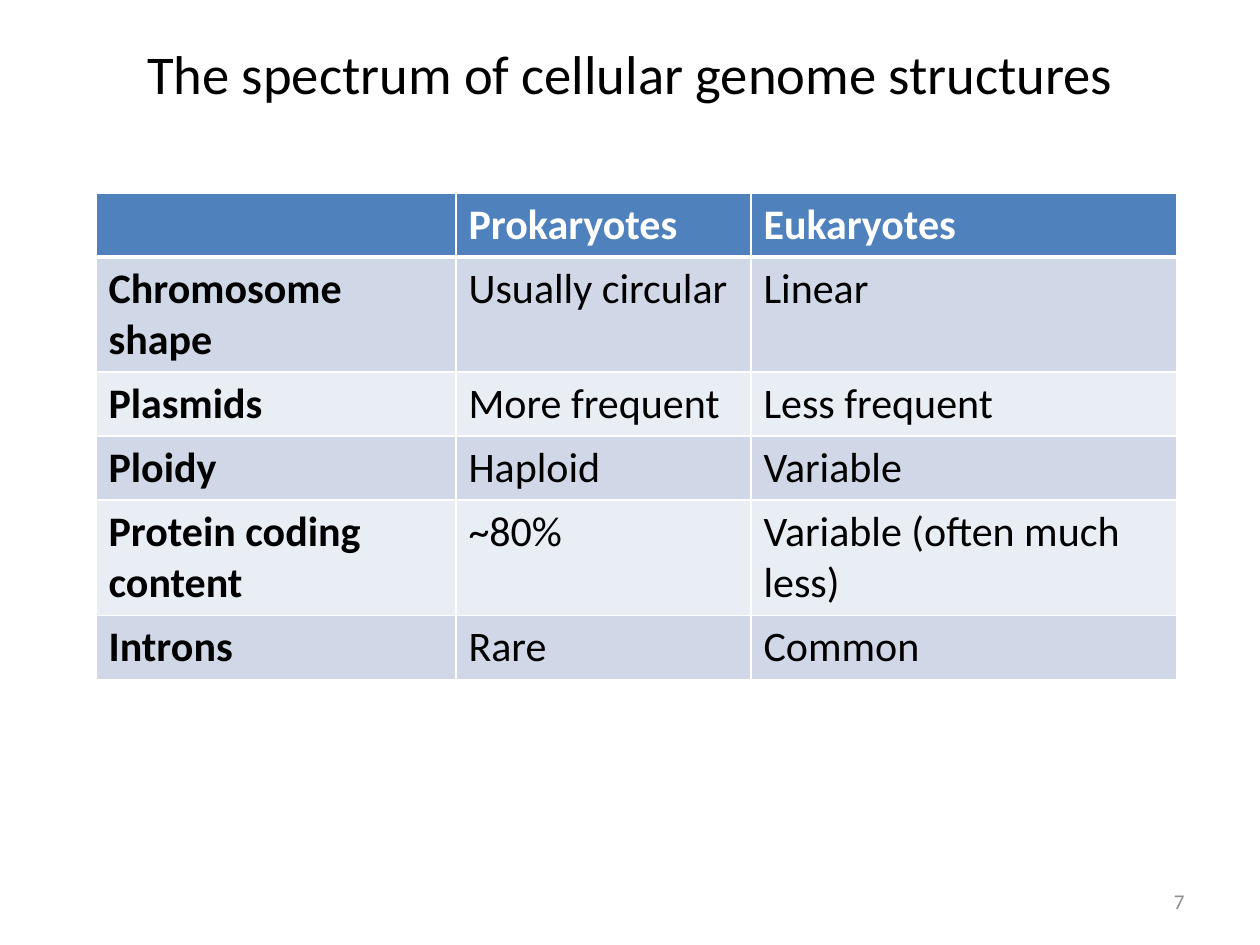
import dataclasses
import pptx
import pptx.dml.color
import pptx.enum.text
import pptx.oxml
import pptx.oxml.ns
import pptx.util

PX = 914400 // 126
FONT = "Calibri"
ALIGN = pptx.enum.text.PP_ALIGN
ANCHOR = pptx.enum.text.MSO_ANCHOR


@dataclasses.dataclass
class Style:
    size: float
    color: str
    bold: bool = False


@dataclasses.dataclass
class Row:
    high: int
    cells: tuple[str, str, str]


HEAD = Style(24, "FFFFFF", True)
LABEL = Style(24, "000000", True)
BODY = Style(24, "000000")
BLUE, BANDS = "4F81BD", ("D0D8E8", "E9EDF4")
COLS = (360, 295, 426)
ROWS = (
    Row(64, ("", "Prokaryotes", "Eukaryotes")),
    Row(114, ("Chromosome shape", "Usually circular", "Linear")),
    Row(64, ("Plasmids", "More frequent", "Less frequent")),
    Row(64, ("Ploidy", "Haploid", "Variable")),
    Row(114, ("Protein coding content", "~80%", "Variable (often much less)")),
    Row(64, ("Introns", "Rare", "Common")),
)


def px(num: int) -> int:
    return pptx.util.Emu(num * PX)


def rgb(code: str) -> pptx.dml.color.RGBColor:
    return pptx.dml.color.RGBColor.from_string(code)


def write(par, text: str, style: Style) -> None:
    run = par.add_run()
    run.text = text
    run.font.name = FONT
    run.font.size = pptx.util.Pt(style.size)
    run.font.bold = style.bold
    run.font.color.rgb = rgb(style.color)


def place(shape, left: int, top: int, wide: int, high: int) -> None:
    shape.left, shape.top = px(left), px(top)
    shape.width, shape.height = px(wide), px(high)


def edge(cell, side: str, width: int) -> None:
    space = pptx.oxml.ns.nsdecls("a")
    line = pptx.oxml.parse_xml(
        f'<a:ln{side} {space} w="{pptx.util.Pt(width)}"><a:solidFill>'
        f'<a:srgbClr val="FFFFFF"/></a:solidFill></a:ln{side}>')
    cell._tc.get_or_add_tcPr().append(line)


def draw_cell(cell, row: int, col: int, text: str) -> None:
    for side in "LRTB":
        thick = (row == 0 and side == "B") or (row == 1 and side == "T")
        edge(cell, side, 3 if thick else 1)
    cell.fill.solid()
    cell.fill.fore_color.rgb = rgb(BANDS[(row - 1) % 2] if row else BLUE)
    if text:
        style = HEAD if row == 0 else LABEL if col == 0 else BODY
        write(cell.text_frame.paragraphs[0], text, style)


def draw_table(slide, left: int, top: int) -> None:
    high = sum(row.high for row in ROWS)
    table = slide.shapes.add_table(
        len(ROWS), len(COLS), px(left), px(top), px(sum(COLS)), px(high)).table
    for col, wide in enumerate(COLS):
        table.columns[col].width = px(wide)
    for num, row in enumerate(ROWS):
        table.rows[num].height = px(row.high)
        for col, text in enumerate(row.cells):
            draw_cell(table.cell(num, col), num, col, text)


def main() -> None:
    deck = pptx.Presentation()
    deck.slide_width, deck.slide_height = px(1260), px(945)
    slide = deck.slides.add_slide(deck.slide_layouts[5])

    # Title
    title = slide.shapes.title
    place(title, 63, 34, 1134, 101)
    frame = title.text_frame
    frame.auto_size = pptx.enum.text.MSO_AUTO_SIZE.NONE
    frame.vertical_anchor = ANCHOR.TOP
    frame.paragraphs[0].alignment = ALIGN.CENTER
    write(frame.paragraphs[0], "The spectrum of cellular genome structures",
          Style(31.2, "000000"))

    # Comparison table
    draw_table(slide, 96, 193)

    # Page number
    box = slide.shapes.add_textbox(px(903), px(876), px(294), px(50))
    frame = box.text_frame
    frame.word_wrap = True
    frame.vertical_anchor = ANCHOR.MIDDLE
    frame.paragraphs[0].alignment = ALIGN.RIGHT
    write(frame.paragraphs[0], "7", Style(12, "8C8C8C"))

    deck.save("out.pptx")


if __name__ == "__main__":
    main()
